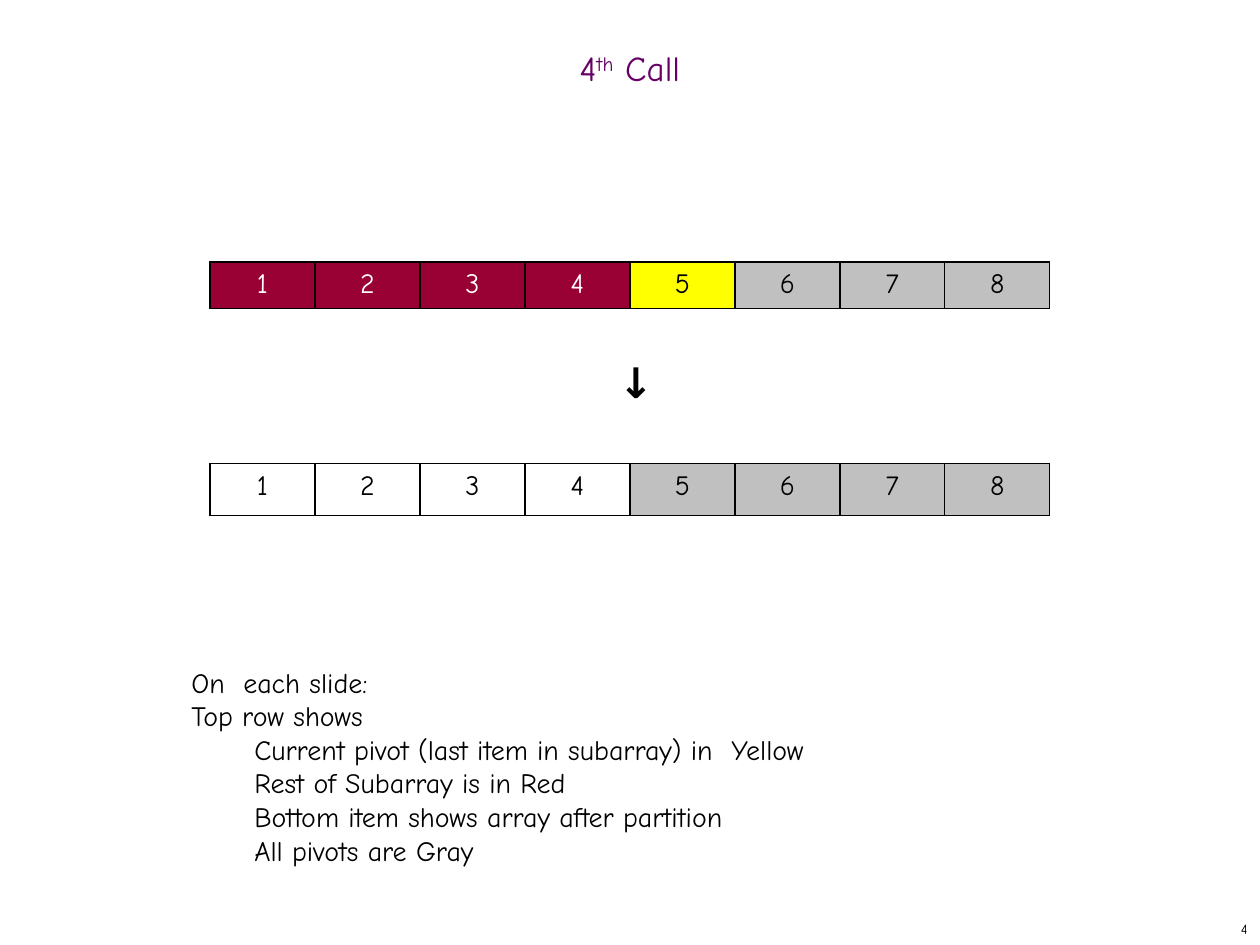
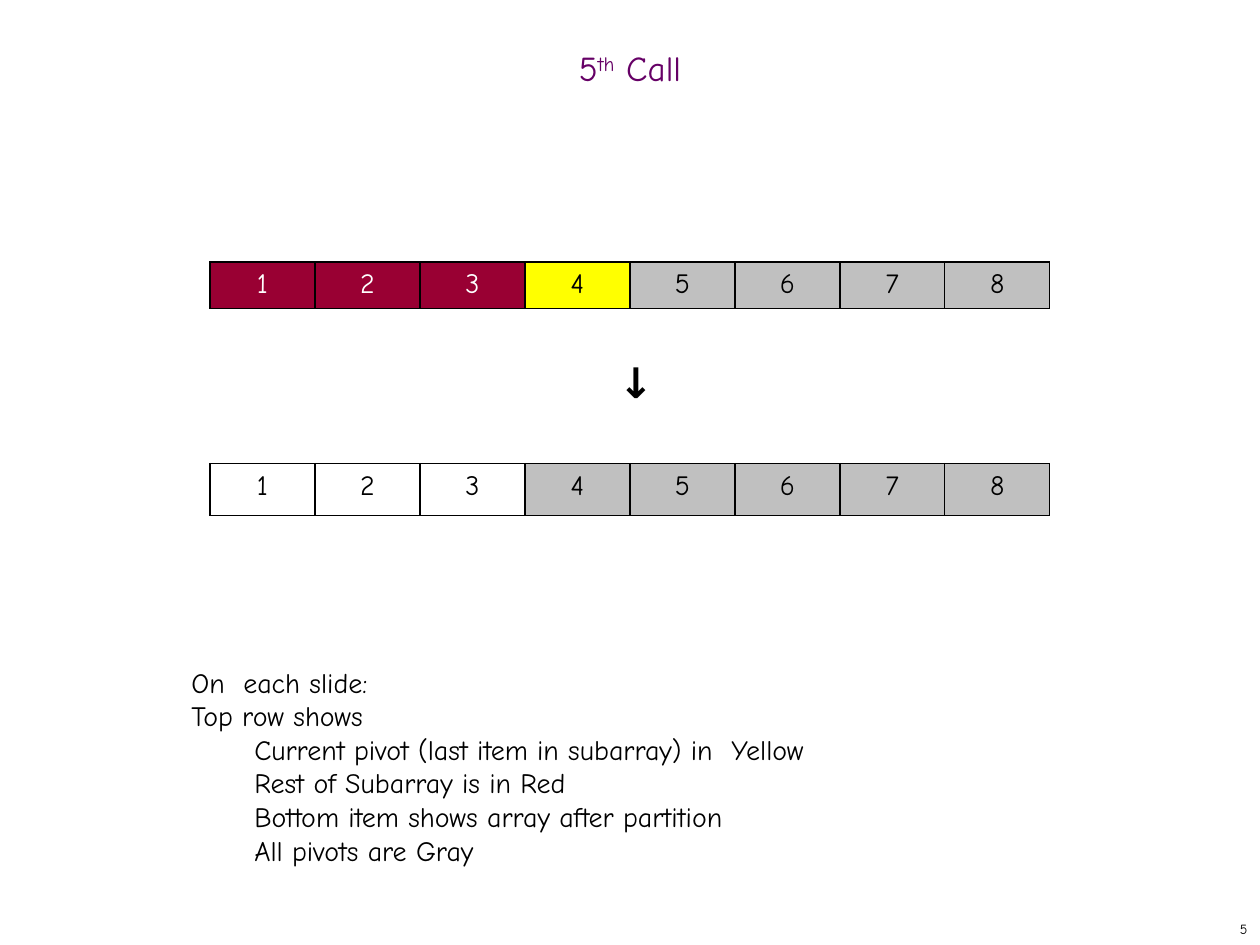
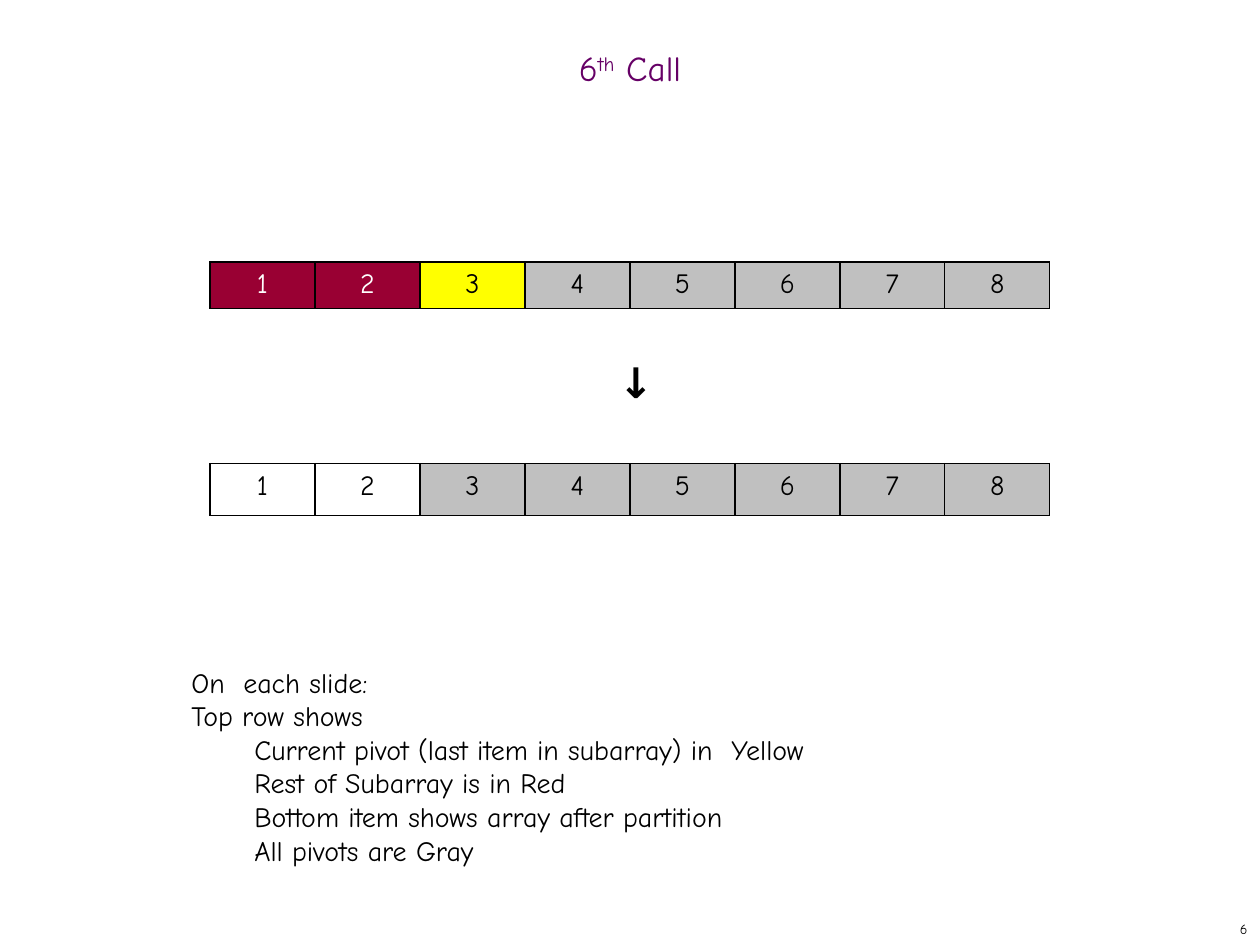
from pptx import Presentation
from pptx.dml.color import RGBColor
from pptx.enum.text import MSO_ANCHOR, MSO_AUTO_SIZE, PP_ALIGN
from pptx.oxml import parse_xml
from pptx.oxml.ns import nsdecls
from pptx.util import Inches, Pt

FONT = "Comic Neue"
PURPLE = RGBColor(0x66, 0x00, 0x66)
BLACK = RGBColor(0x00, 0x00, 0x00)
WHITE = RGBColor(0xFF, 0xFF, 0xFF)
RED = RGBColor(0x99, 0x00, 0x33)
YELLOW = RGBColor(0xFF, 0xFF, 0x00)
GRAY = RGBColor(0xC0, 0xC0, 0xC0)

SLIDE_WIDTH, SLIDE_HEIGHT = Inches(10), Inches(7.5)
ARRAY = range(1, 9)
COLUMN = SLIDE_WIDTH // 12
ARRAY_LEFT = 2 * COLUMN

# Lines of the legend with their indent levels
LEGEND = [
    ("On  each slide:", 0),
    ("Top row shows", 0),
    ("Current pivot (last item in subarray) in  Yellow\vRest of Subarray is in Red", 1),
    ("Bottom item shows array after partition", 1),
    ("All pivots are Gray", 1),
]


def style(font, size, color=BLACK, bold=False):
    font.name, font.size, font.bold = FONT, Pt(size), bold
    font.color.rgb = color


def add_title(slide, call):
    title = slide.shapes.title
    title.left, title.top = 0, Inches(0.33)
    title.width, title.height = SLIDE_WIDTH, Inches(0.5)
    frame = title.text_frame
    frame.vertical_anchor = MSO_ANCHOR.MIDDLE
    frame.auto_size = MSO_AUTO_SIZE.NONE
    para = frame.paragraphs[0]
    para.alignment, para.line_spacing = PP_ALIGN.CENTER, 0.7
    for text, baseline in ((str(call), 0), ("th", 30000), (" Call", 0)):
        span = para.add_run()
        span.text = text
        style(span.font, 20, PURPLE)
        span._r.get_or_add_rPr().set("baseline", str(baseline))


def add_text(slide, lines, left, top, width, height, size, bold=False, wrap=False,
             align=PP_ALIGN.LEFT, anchor=MSO_ANCHOR.TOP):
    box = slide.shapes.add_textbox(Inches(left), Inches(top), Inches(width), Inches(height))
    frame = box.text_frame
    frame.word_wrap, frame.vertical_anchor = wrap, anchor
    for index, (text, level) in enumerate(lines):
        para = frame.add_paragraph() if index else frame.paragraphs[0]
        para.text = text
        para.alignment = align
        if level:
            para.level = level
            properties = para._p.get_or_add_pPr()
            properties.set("marL", str(level * Inches(0.5)))
            properties.set("indent", "0")
        for span in para.runs:
            style(span.font, size, bold=bold)


def add_borders(cell):
    properties = cell._tc.get_or_add_tcPr()
    for side in ("lnL", "lnR", "lnT", "lnB"):
        properties.append(parse_xml(
            f'<a:{side} {nsdecls("a")} w="{Pt(1)}"><a:solidFill>'
            f'<a:srgbClr val="{BLACK}"/></a:solidFill></a:{side}>'))


def add_array(slide, top, height, pivot, pivot_fill, rest_fill, rest_color):
    """Draw the array: items before the pivot, the pivot, then the earlier pivots."""
    table = slide.shapes.add_table(1, len(ARRAY), ARRAY_LEFT, Inches(top),
                                   COLUMN * len(ARRAY), Inches(height)).table
    table.first_row = table.horz_banding = False
    for item, cell in zip(ARRAY, table.rows[0].cells):
        if item < pivot:
            fill, color = rest_fill, rest_color
        else:
            fill, color = (pivot_fill if item == pivot else GRAY), BLACK
        add_borders(cell)
        cell.fill.solid()
        cell.fill.fore_color.rgb = fill
        cell.text = str(item)
        para = cell.text_frame.paragraphs[0]
        para.alignment = PP_ALIGN.CENTER
        style(para.runs[0].font, 16, color)


def add_call(deck, call, pivot):
    slide = deck.slides.add_slide(deck.slide_layouts[5])
    add_title(slide, call)
    # Slide number
    add_text(slide, [(str(call), 0)], 7.92, 7.25, 2.08, 0.25, 8,
             align=PP_ALIGN.RIGHT, anchor=MSO_ANCHOR.MIDDLE)
    # Arrow between the arrays, and the legend
    add_text(slide, [("↓", 0)], 4.81, 2.78, 0.37, 0.5, 24, bold=True)
    add_text(slide, LEGEND, 1.42, 5.23, 7.99, 1.72, 16, wrap=True)
    # Array after and before the partition
    add_array(slide, 3.68, 0.41, pivot, GRAY, WHITE, BLACK)
    add_array(slide, 2.08, 0.36, pivot, YELLOW, RED, WHITE)


def main():
    deck = Presentation()
    deck.slide_width, deck.slide_height = SLIDE_WIDTH, SLIDE_HEIGHT
    for call, pivot in ((4, 5), (5, 4), (6, 3)):
        add_call(deck, call, pivot)
    deck.save("out.pptx")


if __name__ == "__main__":
    main()
